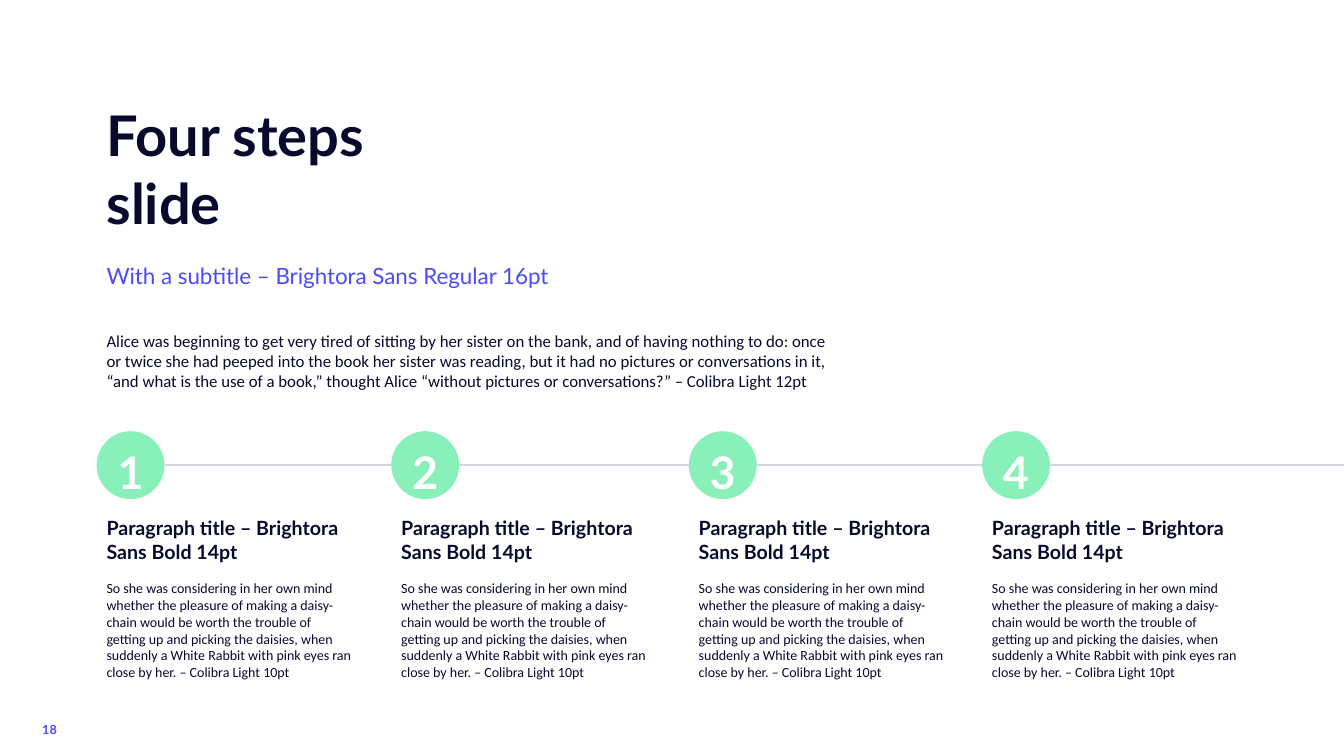
"""Build a slide with four numbered steps along a line."""
from dataclasses import dataclass

import pptx
import pptx.dml.color
import pptx.enum.shapes
import pptx.enum.text
import pptx.oxml
import pptx.oxml.ns
import pptx.slide
import pptx.text.text
import pptx.util

Pt = pptx.util.Pt
RGB = pptx.dml.color.RGBColor
NAVY = RGB(0x09, 0x09, 0x2D)
INK = RGB(0x09, 0x09, 0x2C)
BLUE = RGB(0x4B, 0x4B, 0xF9)
MINT = RGB(0x8A, 0xF0, 0xBA)
GREY = RGB(0xD6, 0xD6, 0xE3)
WHITE = RGB(0xFF, 0xFF, 0xFF)

WIDE, HIGH = 960, 540
LEFT = 69
DOT, DOT_TOP = 48.5, 308
STEP_W = 190
HEAD = "Paragraph title – Brightora Sans Bold 14pt"
BODY = (
    "So she was considering in her own mind whether the pleasure of making a daisy-chain "
    "would be worth the trouble of getting up and picking the daisies, when suddenly a "
    "White Rabbit with pink eyes ran close by her. – Colibra Light 10pt"
)
INTRO = (
    "Alice was beginning to get very tired of sitting by her sister on the bank, and of "
    "having nothing to do: once or twice she had peeped into the book her sister was "
    "reading, but it had no pictures or conversations in it, “and what is the use of a "
    "book,” thought Alice “without pictures or conversations?” – Colibra Light 12pt"
)


@dataclass(frozen=True)
class Style:
    size: float
    face: str
    color: RGB
    bold: bool = False


@dataclass(frozen=True)
class Step:
    num: str
    left: float
    head: str = HEAD
    body: str = BODY


TITLE = Style(40, "Lato", NAVY, True)
SUB = Style(16, "Lato", BLUE)
LEAD = Style(12, "Calibri", INK)
TOPIC = Style(14, "Lato", INK, True)
NOTE = Style(10, "Calibri", INK)
DIGIT = Style(32, "Lato", WHITE, True)
PAGE = Style(9, "Lato", BLUE, True)

STEPS = [Step("1", LEFT), Step("2", 279.5), Step("3", 492), Step("4", 701.5)]


def put(para: pptx.text.text._Paragraph, text: str, style: Style) -> None:
    """Write styled text into a paragraph."""
    para.text = text
    for run in para.runs:
        run.font.size = Pt(style.size)
        run.font.name = style.face
        run.font.bold = style.bold
        run.font.color.rgb = style.color


def inset(frame: pptx.text.text.TextFrame, left: float, top: float,
          right: float, base: float) -> None:
    """Set the four margins of a text frame."""
    frame.margin_left, frame.margin_top = Pt(left), Pt(top)
    frame.margin_right, frame.margin_bottom = Pt(right), Pt(base)


def add_text(slide: pptx.slide.Slide, left: float, top: float, width: float,
             height: float, text: str, style: Style) -> pptx.text.text.TextFrame:
    """Add a wrapped text box and return its frame."""
    box = slide.shapes.add_textbox(Pt(left), Pt(top), Pt(width), Pt(height))
    frame = box.text_frame
    frame.word_wrap = True
    put(frame.paragraphs[0], text, style)
    return frame


def add_line(slide: pptx.slide.Slide) -> None:
    """Draw the line that runs behind the steps."""
    mid = Pt(DOT_TOP + DOT / 2)
    line = slide.shapes.add_connector(
        pptx.enum.shapes.MSO_CONNECTOR.STRAIGHT, Pt(87), mid, Pt(WIDE), mid)
    line.line.color.rgb = GREY
    line.line.width = Pt(1)
    props = line._element.spPr
    props.append(pptx.oxml.parse_xml(
        f'<a:effectLst {pptx.oxml.ns.nsdecls("a")}/>'))


def add_step(slide: pptx.slide.Slide, step: Step) -> None:
    """Draw one numbered circle with its title and text."""
    dot = slide.shapes.add_shape(
        pptx.enum.shapes.MSO_SHAPE.OVAL, Pt(step.left), Pt(DOT_TOP), Pt(DOT), Pt(DOT))
    dot.shadow.inherit = False
    dot.fill.solid()
    dot.fill.fore_color.rgb = MINT
    dot.line.fill.background()
    frame = dot.text_frame
    frame.word_wrap = False
    frame.vertical_anchor = pptx.enum.text.MSO_ANCHOR.MIDDLE
    inset(frame, 7.2, 11.5, 7.2, 2.9)
    put(frame.paragraphs[0], step.num, DIGIT)
    frame.paragraphs[0].alignment = pptx.enum.text.PP_ALIGN.CENTER
    add_text(slide, step.left, 365, STEP_W, 41, step.head, TOPIC)
    add_text(slide, step.left, 410.5, STEP_W, 80, step.body, NOTE)


def main() -> None:
    """Build and save the deck."""
    deck = pptx.Presentation()
    deck.slide_width, deck.slide_height = Pt(WIDE), Pt(HIGH)
    slide = deck.slides.add_slide(deck.slide_layouts[6])

    page = add_text(slide, 26.6, 513.4, 28.8, 17.3, "18", PAGE)
    inset(page, 3.6, 3.6, 3.6, 3.6)
    page.paragraphs[0].line_spacing = 0.9

    add_line(slide)
    title = add_text(slide, LEFT, 68.5, 400, 143, "Four steps", TITLE)
    put(title.add_paragraph(), "slide", TITLE)
    sub = title.add_paragraph()
    put(sub, "With a subtitle – Brightora Sans Regular 16pt", SUB)
    sub.space_before = Pt(19)

    add_text(slide, LEFT, 232.5, 541.5, 51, INTRO, LEAD)
    for step in STEPS:
        add_step(slide, step)
    deck.save("out.pptx")


if __name__ == "__main__":
    main()
